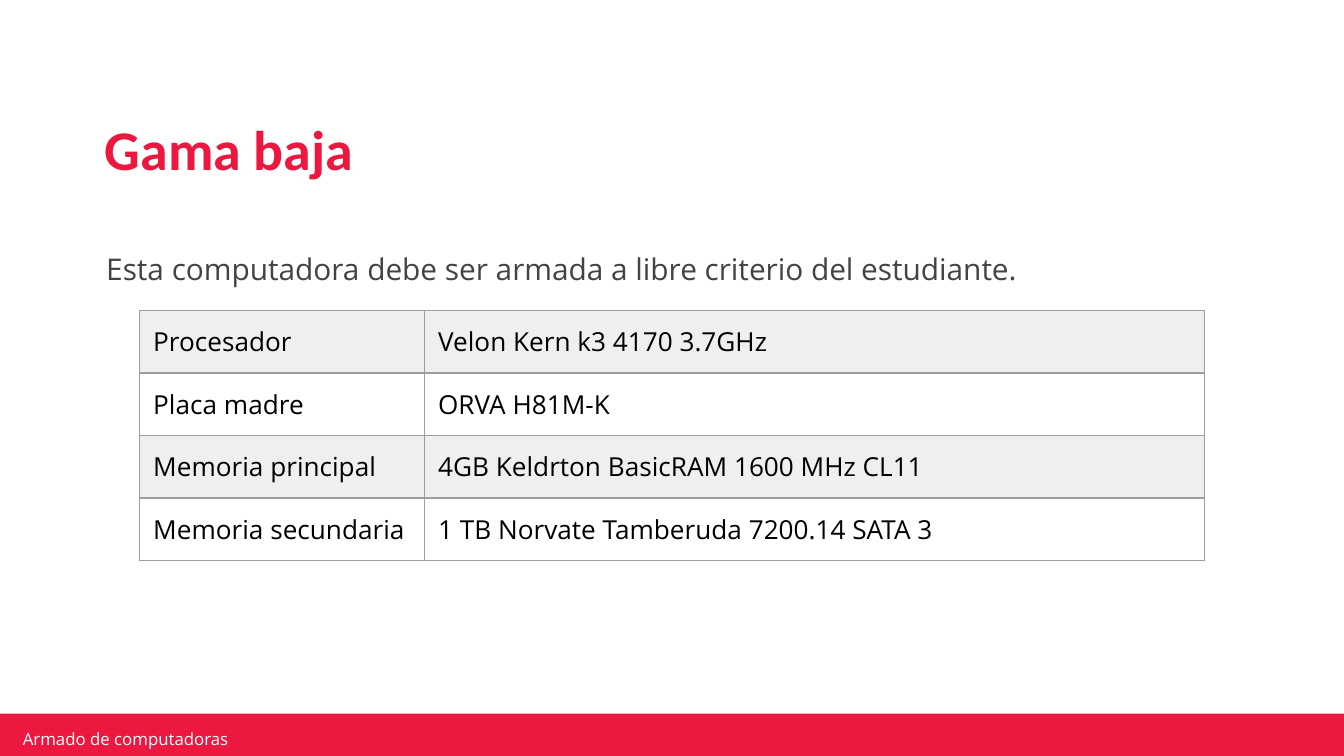
"""Builds the low-range computer slide with its table of components."""
from dataclasses import dataclass

from lxml import etree
from pptx import Presentation
from pptx import util as u
from pptx.dml.color import RGBColor
from pptx.enum import shapes, text
from pptx.oxml import ns

RED = RGBColor(0xEC, 0x18, 0x3F)
WHITE = RGBColor(0xFF, 0xFF, 0xFF)
BLACK = RGBColor(0x00, 0x00, 0x00)
DARK_GRAY = RGBColor(0x43, 0x43, 0x43)
BAND_GRAY = RGBColor(0xEF, 0xEF, 0xEF)
BORDER_GRAY = RGBColor(0x9E, 0x9E, 0x9E)


@dataclass(frozen=True)
class Style:
    font: str
    size: float
    color: RGBColor
    bold: bool = False


@dataclass(frozen=True)
class Box:
    left: float
    top: float
    width: float
    height: float

    def lengths(self) -> list[u.Length]:
        return [u.Inches(value) for value in (self.left, self.top, self.width, self.height)]


@dataclass(frozen=True)
class Component:
    kind: str
    model: str


TITLE = Style("Calibri", 30, RED, True)
BODY = Style("Open Sans", 16, DARK_GRAY)
CELL = Style("Open Sans", 14, BLACK)
FOOTER = Style("Open Sans", 9, WHITE)
COLUMN_WIDTHS = (2.12, 5.8)
TABLE_HEIGHT = 1.86
COMPONENTS = (
    Component("Procesador", "Velon Kern k3 4170 3.7GHz"),
    Component("Placa madre", "ORVA H81M-K"),
    Component("Memoria principal", "4GB Keldrton BasicRAM 1600 MHz CL11"),
    Component("Memoria secundaria", "1 TB Norvate Tamberuda 7200.14 SATA 3"),
)


def write(text_frame, content: str, style: Style, line_spacing: float = 1.0):
    """Write one left-aligned styled paragraph and return it."""
    text_frame.text = content
    text_frame.word_wrap = True
    paragraph = text_frame.paragraphs[0]
    paragraph.alignment = text.PP_ALIGN.LEFT
    paragraph.line_spacing = line_spacing
    paragraph.space_before = u.Pt(0)
    font = paragraph.runs[0].font
    font.name, font.size, font.bold = style.font, u.Pt(style.size), style.bold
    font.color.rgb = style.color
    return paragraph


def set_margins(target, horizontal: float, vertical: float) -> None:
    """Set equal side margins and equal top and bottom margins."""
    target.margin_left = target.margin_right = u.Inches(horizontal)
    target.margin_top = target.margin_bottom = u.Inches(vertical)


def place(shape, box: Box) -> None:
    """Move and resize a shape."""
    shape.left, shape.top, shape.width, shape.height = box.lengths()


def add_borders(cell) -> None:
    """Draw a thin border on the four sides of a cell."""
    properties = cell._tc.get_or_add_tcPr()
    for index, side in enumerate(("lnL", "lnR", "lnT", "lnB")):
        line = etree.Element(ns.qn(f"a:{side}"), w=str(u.Pt(0.75)))
        fill = etree.SubElement(line, ns.qn("a:solidFill"))
        etree.SubElement(fill, ns.qn("a:srgbClr"), val=str(BORDER_GRAY))
        properties.insert(index, line)


def add_footer(slide) -> None:
    """Add the red band and its label."""
    band = slide.shapes.add_shape(
        shapes.MSO_SHAPE.RECTANGLE, *Box(-0.02, 5.31, 10.03, 0.36).lengths())
    band.shadow.inherit = False
    band.fill.solid()
    band.fill.fore_color.rgb = RED
    band.line.fill.background()
    label = slide.shapes.add_textbox(*Box(0.12, 5.42, 2.39, 0.15).lengths()).text_frame
    write(label, "Armado de computadoras", FOOTER)
    set_margins(label, 0.05, 0.02)
    label.vertical_anchor = text.MSO_ANCHOR.MIDDLE


def add_title(slide) -> None:
    """Fill the title placeholder."""
    title = slide.shapes.title
    place(title, Box(0.69, 0.67, 8.4, 0.93))
    write(title.text_frame, "Gama baja", TITLE, 0.9)
    set_margins(title.text_frame, 0.09, 0.04)
    title.text_frame.auto_size = text.MSO_AUTO_SIZE.NONE
    title.text_frame.vertical_anchor = text.MSO_ANCHOR.MIDDLE


def add_body(slide) -> None:
    """Fill the body placeholder with one unbulleted line."""
    body = slide.placeholders[1]
    place(body, Box(0.69, 1.68, 8.83, 0.3))
    paragraph = write(
        body.text_frame,
        "Esta computadora debe ser armada a libre criterio del estudiante.", BODY, 1.5)
    set_margins(body.text_frame, 0.1, 0.05)
    body.text_frame.auto_size = text.MSO_AUTO_SIZE.NONE
    properties = paragraph._p.get_or_add_pPr()
    properties.set("marL", "0")
    properties.set("indent", "0")
    etree.SubElement(properties, ns.qn("a:buNone"))


def add_components(slide) -> None:
    """Add the table of components with alternating row fills."""
    box = Box(1.04, 2.31, sum(COLUMN_WIDTHS), TABLE_HEIGHT)
    table = slide.shapes.add_table(
        len(COMPONENTS), len(COLUMN_WIDTHS), *box.lengths()).table
    table.first_row = table.horz_banding = False
    for column, width in zip(table.columns, COLUMN_WIDTHS):
        column.width = u.Inches(width)
    for index, (row, component) in enumerate(zip(table.rows, COMPONENTS)):
        row.height = u.Inches(TABLE_HEIGHT / len(COMPONENTS))
        for cell, content in zip(row.cells, (component.kind, component.model)):
            write(cell.text_frame, content, CELL)
            set_margins(cell, 0.1, 0.1)
            cell.fill.solid()
            cell.fill.fore_color.rgb = WHITE if index % 2 else BAND_GRAY
            add_borders(cell)


def main() -> None:
    """Build and save the presentation."""
    presentation = Presentation()
    presentation.slide_width = u.Inches(10)
    presentation.slide_height = presentation.slide_width * 9 // 16
    slide = presentation.slides.add_slide(presentation.slide_layouts[1])
    add_footer(slide)
    add_title(slide)
    add_components(slide)
    add_body(slide)
    presentation.save("out.pptx")


if __name__ == "__main__":
    main()
